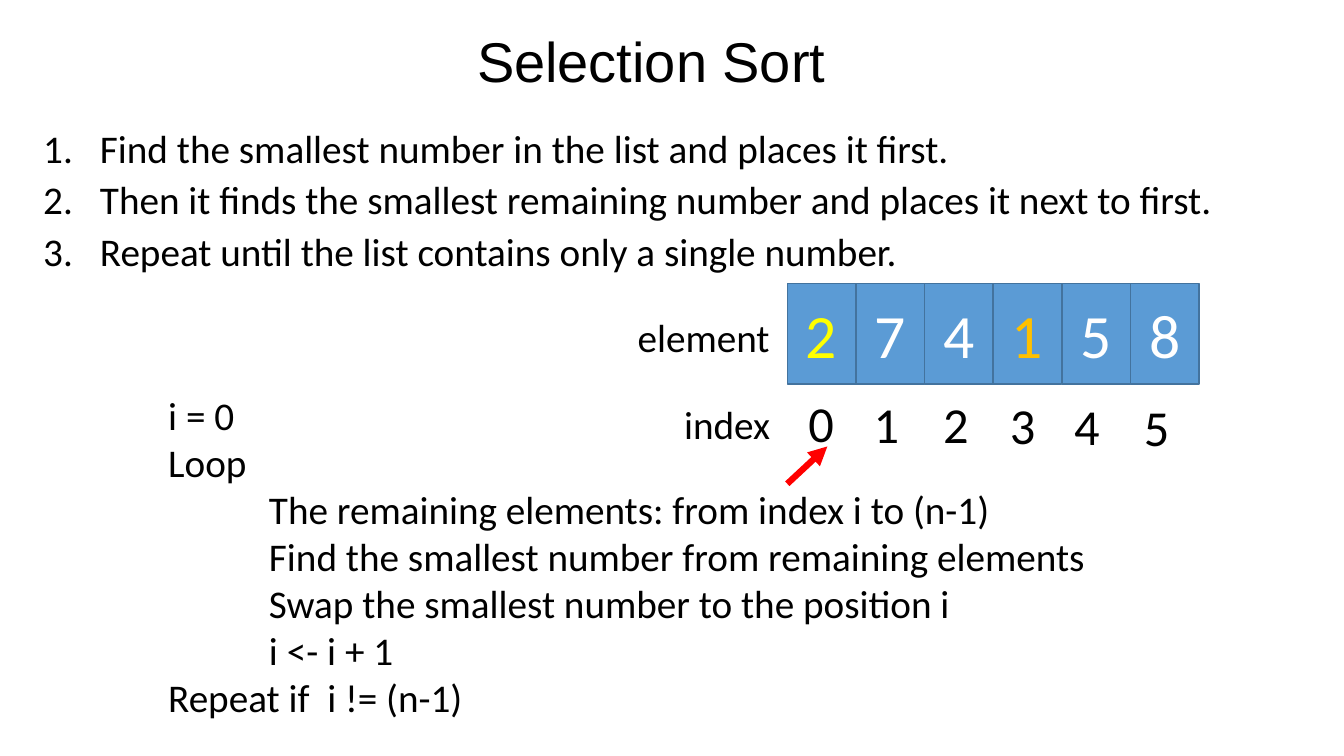
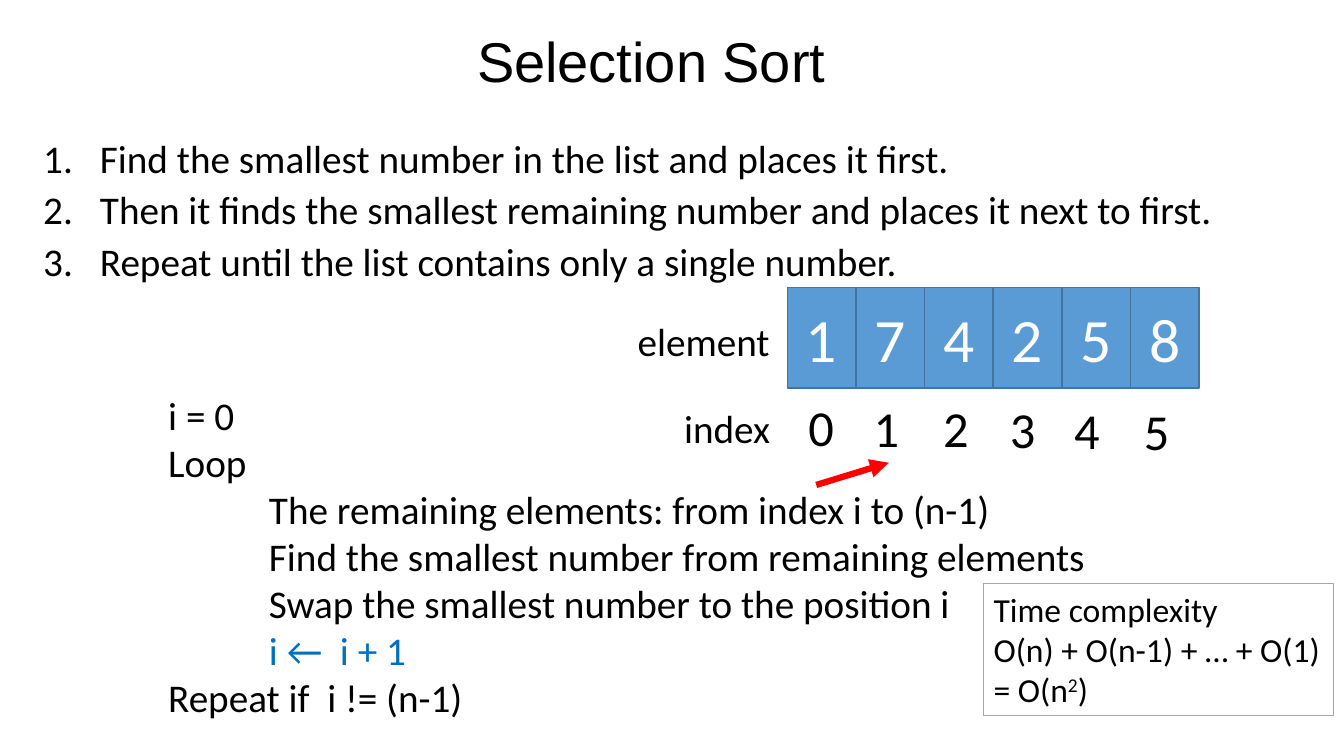
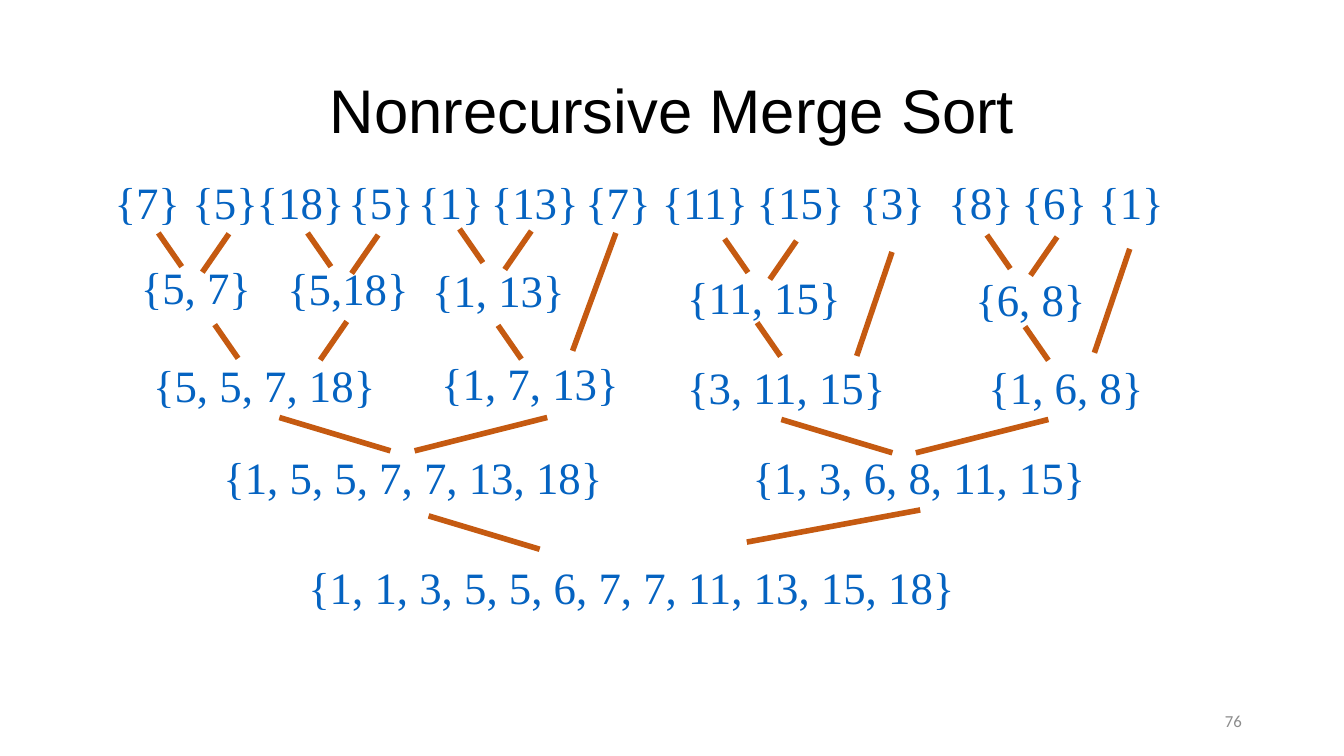
from pptx import Presentation
from pptx.dml.color import RGBColor
from pptx.enum.shapes import MSO_CONNECTOR, MSO_SHAPE
from pptx.enum.text import MSO_ANCHOR, PP_ALIGN
from pptx.oxml.ns import qn
from pptx.util import Cm, Pt
from lxml.etree import SubElement

BLACK, WHITE, RED = "000000", "FFFFFF", "FF0000"
YELLOW, ORANGE, BLUE = "FFFF00", "FFC000", "0070C0"
CELL_FILL, CELL_LINE, FRAME_LINE = "5B9BD5", "43739E", "A6A6A6"
SET_BLUE, BRANCH_BROWN, PAGE_GREY = "0563C1", "C55A11", "8C8C8C"

STEPS = (
    "Find the smallest number in the list and places it first.",
    "Then it finds the smallest remaining number and places it next to first.",
    "Repeat until the list contains only a single number.",
)
LOOP_BODY = (
    "The remaining elements: from index i to (n-1)",
    "Find the smallest number from remaining elements",
    "Swap the smallest number to the position i",
)
INDEX_LEFTS = (20.12, 21.77, 23.52, 25.2, 26.82, 28.58)

MERGE_SETS = (
    ("{7}", 2.64, 4.27, 2.34),
    ("{5}", 4.6, 4.27, 2.41),
    ("{18}", 6.22, 4.27, 2.79),
    ("{5}", 8.53, 4.27, 2.29),
    ("{1}", 10.29, 4.27, 2.49),
    ("{13}", 12.12, 4.27, 2.74),
    ("{7}", 14.5, 4.27, 2.39),
    ("{11}", 16.43, 4.27, 2.72),
    ("{15}", 18.82, 4.27, 2.92),
    ("{3}", 21.41, 4.27, 2.39),
    ("{8}", 23.65, 4.27, 2.34),
    ("{6}", 25.5, 4.27, 2.77),
    ("{1}", 27.43, 4.27, 2.34),
    ("{5, 7}", 3.3, 6.43, 3.51),
    ("{5,18}", 6.99, 6.45, 4.01),
    ("{1, 13}", 10.64, 6.5, 3.86),
    ("{11, 15}", 17.07, 6.68, 4.5),
    ("{6, 8}", 24.33, 6.71, 4.04),
    ("{5, 5, 7, 18}", 3.61, 8.89, 6.2),
    ("{1, 7, 13}", 10.87, 8.84, 5.08),
    ("{3, 11, 15}", 17.07, 8.94, 5.54),
    ("{1, 6, 8}", 24.66, 8.94, 5.51),
    ("{1, 5, 5, 7, 7, 13, 18}", 5.38, 11.2, 10.16),
    ("{1, 3, 6, 8, 11, 15}", 18.72, 11.2, 9.32),
    ("{1, 1, 3, 5, 5, 6, 7, 7, 11, 13, 15, 18}", 7.52, 13.97, 18.85),
)
BRANCHES = {
    (0.59, 0.85): (
        (3.99, 5.87), (7.75, 5.87), (11.58, 5.77), (18.26, 6.02), (24.87, 5.92),
        (5.41, 8.18), (12.55, 8.2), (19.08, 8.13), (25.83, 8.23),
    ),
    (-0.67, 0.97): (
        (5.77, 5.89), (9.53, 5.92), (13.39, 5.82), (20.07, 6.07), (26.64, 5.97),
        (8.74, 8.1),
    ),
    (-1.09, 2.97): ((15.52, 5.87),),
    (-0.89, 2.62): ((22.48, 6.35), (28.47, 6.27)),
    (2.8, 0.84): ((7.04, 10.52), (19.69, 10.57), (10.8, 13)),
    (-3.34, 0.84): ((13.79, 10.52), (26.42, 10.57)),
    (-4.37, 0.81): ((23.19, 12.85),),
}


def color(value):
    """Turn a hex string into a colour."""
    return RGBColor.from_string(value)


class SortDeck:
    """Hold the deck, its style and the current page."""

    def __init__(self):
        """Start an empty widescreen deck."""
        self.deck = Presentation()
        self.deck.slide_width = Cm(33.87)
        self.deck.slide_height = Cm(19.05)
        self.page = None

    def add_page(self):
        """Open a new blank page."""
        self.page = self.deck.slides.add_slide(self.deck.slide_layouts[6])

    def style(self, paragraph, size, ink=BLACK, font="Calibri", align=PP_ALIGN.LEFT):
        """Set the font and alignment of a paragraph."""
        paragraph.alignment = align
        paragraph.font.name = font
        paragraph.font.size = Pt(size)
        paragraph.font.color.rgb = color(ink)

    def text(self, lines, left, top, width, height, size, wrap=True,
             anchor=MSO_ANCHOR.TOP, **look):
        """Add a text box with one paragraph for each line."""
        box = self.page.shapes.add_textbox(Cm(left), Cm(top), Cm(width), Cm(height))
        frame = box.text_frame
        frame.word_wrap = wrap
        frame.vertical_anchor = anchor
        for number, line in enumerate(lines):
            paragraph = frame.add_paragraph() if number else frame.paragraphs[0]
            paragraph.add_run().text = line
            self.style(paragraph, size, **look)
        return box

    def title(self, words, left, top, width, height, size):
        """Add a centred title."""
        box = self.text([words], left, top, width, height, size, font="Arial",
                        anchor=MSO_ANCHOR.MIDDLE, align=PP_ALIGN.CENTER)
        box.text_frame.paragraphs[0].line_spacing = 0.9

    def indent(self, paragraph, left, first=0):
        """Set the left margin and first-line indent of a paragraph."""
        properties = paragraph._p.get_or_add_pPr()
        properties.set("marL", str(Cm(left)))
        properties.set("indent", str(Cm(first)))
        return properties

    def numbered(self, lines, top):
        """Add the numbered list of steps."""
        box = self.text(lines, 0.84, top, 30.56, 7.26, 28)
        for paragraph in box.text_frame.paragraphs:
            paragraph.line_spacing = 0.8
            paragraph.space_before = Pt(10)
            properties = self.indent(paragraph, 1.43, -1.43)
            bullet = SubElement(properties, qn("a:buAutoNum"), type="arabicPeriod")
            properties.insert_element_before(bullet, "a:defRPr")

    def pseudocode(self, increment, ink):
        """Add the loop, with its increment line in the given colour."""
        lines = ("i = 0", "Loop", *LOOP_BODY, increment, "Repeat if  i != (n-1)")
        box = self.text(lines, 3.99, 9.73, 23.72, 8.64, 28)
        body = box.text_frame.paragraphs[2:-1]
        for paragraph in body:
            self.indent(paragraph, 2.54)
        body[-1].font.color.rgb = color(ink)

    def cell(self, value, left, top, width, ink):
        """Add one array cell."""
        shape = self.page.shapes.add_shape(
            MSO_SHAPE.RECTANGLE, Cm(left), Cm(top), Cm(width), Cm(2.54))
        shape.shadow.inherit = False
        shape.fill.solid()
        shape.fill.fore_color.rgb = color(CELL_FILL)
        shape.line.color.rgb = color(CELL_LINE)
        shape.line.width = Pt(1)
        frame = shape.text_frame
        frame.vertical_anchor = MSO_ANCHOR.MIDDLE
        frame.text = str(value)
        self.style(frame.paragraphs[0], 44, ink, align=PP_ALIGN.CENTER)

    def array(self, values, top, inks):
        """Add the array with its indices and row labels."""
        pitch = 1.73
        for index, value in enumerate(values):
            self.cell(value, 19.84 + index * pitch, top, pitch, inks.get(index, WHITE))
            self.text([str(index)], INDEX_LEFTS[index], top + 2.61 + 0.02 * index,
                      1.17, 1.8, 36, wrap=False)
        self.text(["element"], 15.82, top + 0.63, 3.86, 1.45, 28, wrap=False)
        self.text(["index"], 16.99, top + 2.82, 2.69, 1.45, 28, wrap=False)

    def line(self, start, end, ink, weight, arrow=False):
        """Add a straight line, with an arrowhead at its end if wanted."""
        points = [Cm(value) for value in (*start, *end)]
        connector = self.page.shapes.add_connector(MSO_CONNECTOR.STRAIGHT, *points)
        connector.line.color.rgb = color(ink)
        connector.line.width = Pt(weight)
        if arrow:
            SubElement(connector.line._get_or_add_ln(), qn("a:tailEnd"), type="triangle")
        SubElement(connector._element.spPr, qn("a:effectLst"))

    def complexity(self):
        """Add the framed note on running time."""
        lines = ("Time complexity", "O(n) + O(n-1) + … + O(1)", "= O(n")
        box = self.text(lines, 24.79, 14.71, 8.81, 3.33, 24, wrap=False)
        box.line.color.rgb = color(FRAME_LINE)
        box.line.width = Pt(0.75)
        result = box.text_frame.paragraphs[-1]
        power = result.add_run()
        power.text = "2"
        power._r.get_or_add_rPr().set("baseline", "30000")
        result.add_run().text = ")"

    def selection_page(self, values, inks, steps_top, array_top, arrow, increment, ink):
        """Add a page showing one state of selection sort."""
        self.add_page()
        self.pseudocode(increment, ink)
        self.array(values, array_top, inks)
        self.line(*arrow, RED, 4.5, arrow=True)
        self.numbered(STEPS, steps_top)
        self.title("Selection Sort", 4.88, 1.09, 23.06, 1.09, 40)

    def merge_page(self):
        """Add the page with the merge tree."""
        self.add_page()
        self.title("Nonrecursive Merge Sort", 2.34, 1.02, 29.21, 3.68, 44)
        self.text(["76"], 23.93, 17.65, 7.62, 1.02, 12, ink=PAGE_GREY,
                  anchor=MSO_ANCHOR.MIDDLE, align=PP_ALIGN.RIGHT)
        for numbers, left, top, width in MERGE_SETS:
            self.text([numbers], left, top, width, 1.63, 32,
                      ink=SET_BLUE, font="Times New Roman")
        for (across, down), starts in BRANCHES.items():
            for left, top in starts:
                self.line((left, top), (left + across, top + down), BRANCH_BROWN, 4)


def main():
    """Build and save the deck."""
    sorts = SortDeck()
    sorts.selection_page((2, 7, 4, 1, 5, 8), {0: YELLOW, 3: ORANGE}, 3.23, 7.14,
                         ((19.84, 12.19), (20.85, 11.25)), "i <- i + 1", BLACK)
    sorts.selection_page((1, 7, 4, 2, 5, 8), {}, 3.48, 7.24,
                         ((20.57, 12.22), (22.4, 11.66)), "i ←  i + 1", BLUE)
    sorts.complexity()
    sorts.merge_page()
    sorts.deck.save("out.pptx")


if __name__ == "__main__":
    main()
